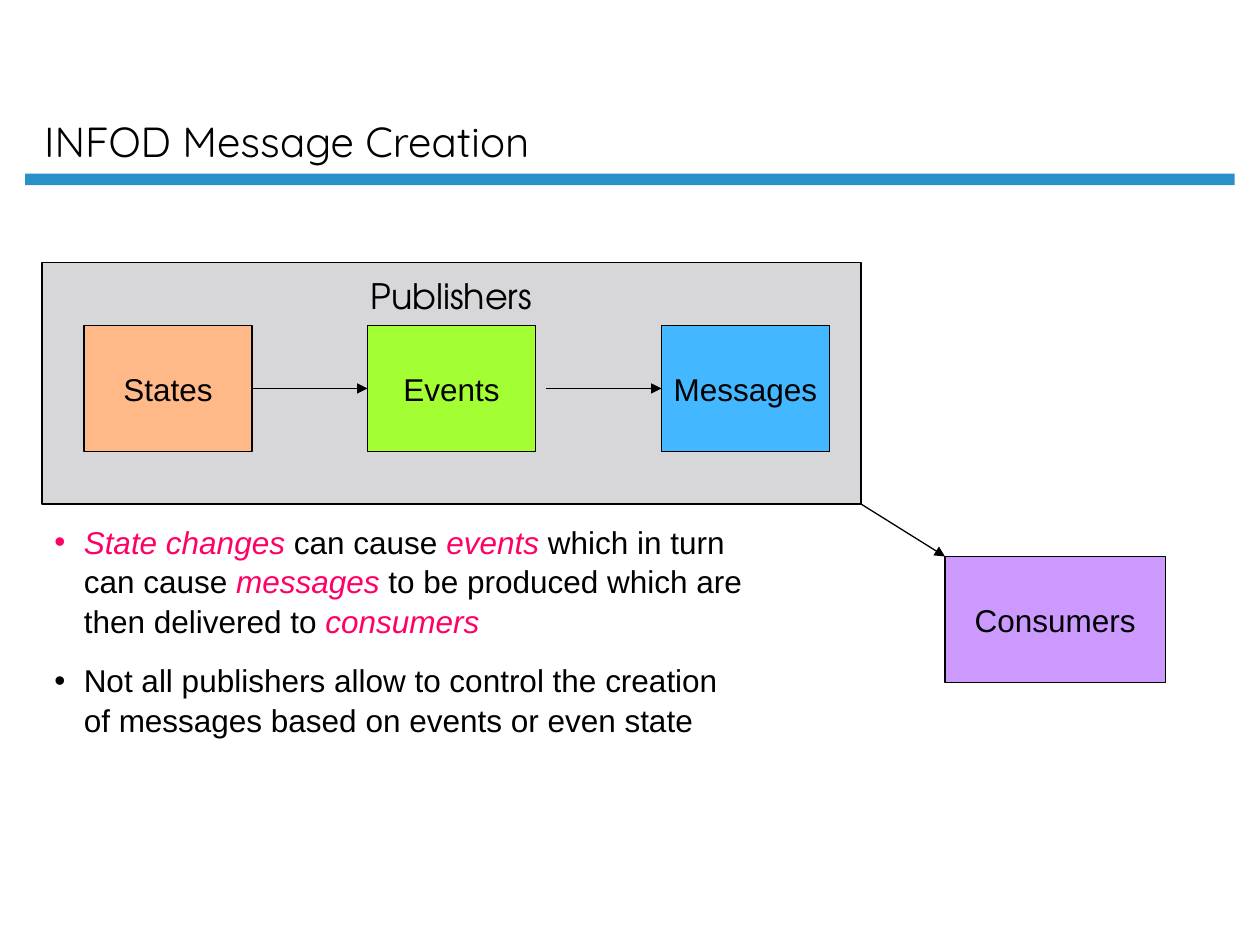
"""Build the INFOD message creation slide."""
from dataclasses import dataclass

from lxml import etree
from pptx import Presentation
from pptx.dml.color import RGBColor
from pptx.enum import shapes, text
from pptx.oxml import ns
from pptx.util import Pt


@dataclass(frozen=True)
class Theme:
    """Colours, fonts and type sizes."""
    ink: str = "000000"
    accent: str = "FF0066"
    rule: str = "2990CA"
    panel: str = "D7D7D9"
    states: str = "FFB989"
    events: str = "A3FF33"
    messages: str = "43B7FF"
    consumers: str = "CC99FF"
    title_font: str = "Quicksand"
    panel_font: str = "TeX Gyre Adventor"
    body_font: str = "Arial"
    title_size: float = 24
    panel_size: float = 20
    body_size: float = 18
    line_width: float = 0.75


@dataclass(frozen=True)
class Box:
    """A filled rectangle with an optional label, in points."""
    left: float
    top: float
    width: float
    height: float
    fill: str
    label: str = ""
    outlined: bool = True


@dataclass(frozen=True)
class Arrow:
    """A straight arrow between two points."""
    x1: float
    y1: float
    x2: float
    y2: float


@dataclass(frozen=True)
class Bullet:
    """A bulleted paragraph of (words, emphasised) pieces."""
    color: str
    pieces: tuple[tuple[str, bool], ...]


THEME = Theme()
STEP_TOP, STEP_WIDTH, STEP_HEIGHT = 186, 96, 72
STEP_MIDDLE = STEP_TOP + STEP_HEIGHT / 2
RULE = Box(14.4, 99.2, 691.2, 6.6, THEME.rule, outlined=False)
PUBLISHERS = Box(24, 150, 468, 138, THEME.panel, "Publishers")
STEPS = [
    Box(left, STEP_TOP, STEP_WIDTH, STEP_HEIGHT, fill, label)
    for left, fill, label in (
        (48, THEME.states, "States"),
        (210, THEME.events, "Events"),
        (378, THEME.messages, "Messages"),
    )
]
CONSUMERS = Box(540, 318, 126, 72, THEME.consumers, "Consumers")
ARROWS = [
    Arrow(144, STEP_MIDDLE, 210, STEP_MIDDLE),
    Arrow(312, STEP_MIDDLE, 378, STEP_MIDDLE),
    Arrow(492, 288, 540, 318),
]
BULLETS = [
    Bullet(THEME.accent, (
        ("State changes", True),
        (" can cause ", False),
        ("events", True),
        (" which in turn can cause ", False),
        ("messages", True),
        (" to be produced which are then delivered to ", False),
        ("consumers", True),
    )),
    Bullet(THEME.ink, (
        ("Not all publishers allow to control the creation of messages "
         "based on events or even state", False),
    )),
]


def add_run(paragraph, words: str, font: str, size: float,
            color: str = THEME.ink, italic: bool = False) -> None:
    """Append one formatted run."""
    run = paragraph.add_run()
    run.text = words
    run.font.name = font
    run.font.size = Pt(size)
    run.font.italic = italic
    run.font.color.rgb = RGBColor.from_string(color)


def draw_title(slide, words: str) -> None:
    """Place and fill the title placeholder."""
    title = slide.shapes.title
    title.left, title.top, title.width, title.height = map(Pt, (18, 8.6, 616, 90))
    frame = title.text_frame
    frame.auto_size = text.MSO_AUTO_SIZE.NONE
    frame.vertical_anchor = text.MSO_ANCHOR.BOTTOM
    paragraph = frame.paragraphs[0]
    paragraph.alignment = text.PP_ALIGN.LEFT
    add_run(paragraph, words, THEME.title_font, THEME.title_size)


def draw_box(slide, box: Box, font: str = THEME.body_font,
             size: float = THEME.body_size,
             anchor: text.MSO_ANCHOR = text.MSO_ANCHOR.MIDDLE) -> None:
    """Draw a rectangle and its centred label."""
    rect = slide.shapes.add_shape(
        shapes.MSO_SHAPE.RECTANGLE,
        *map(Pt, (box.left, box.top, box.width, box.height)))
    rect.shadow.inherit = False
    rect.fill.solid()
    rect.fill.fore_color.rgb = RGBColor.from_string(box.fill)
    if box.outlined:
        rect.line.color.rgb = RGBColor.from_string(THEME.ink)
        rect.line.width = Pt(THEME.line_width)
    else:
        rect.line.fill.background()
    if box.label:
        frame = rect.text_frame
        frame.word_wrap = False
        frame.vertical_anchor = anchor
        frame.margin_top = Pt(6.6 if anchor == text.MSO_ANCHOR.TOP else 3.6)
        paragraph = frame.paragraphs[0]
        paragraph.alignment = text.PP_ALIGN.CENTER
        add_run(paragraph, box.label, font, size)


def draw_arrow(slide, arrow: Arrow) -> None:
    """Draw a connector with a triangular head."""
    line = slide.shapes.add_connector(
        shapes.MSO_CONNECTOR.STRAIGHT,
        *map(Pt, (arrow.x1, arrow.y1, arrow.x2, arrow.y2)))
    line.line.color.rgb = RGBColor.from_string(THEME.ink)
    line.line.width = Pt(THEME.line_width)
    outline = line.line._get_or_add_ln()
    etree.SubElement(outline, ns.qn("a:tailEnd"), type="triangle")
    etree.SubElement(outline.getparent(), ns.qn("a:effectLst"))


def draw_bullets(slide, bullets: list[Bullet]) -> None:
    """Draw the bulleted explanation."""
    body = slide.shapes.add_textbox(*map(Pt, (24, 294, 408.24, 126.7)))
    frame = body.text_frame
    frame.word_wrap = True
    for index, bullet in enumerate(bullets):
        paragraph = frame.add_paragraph() if index else frame.paragraphs[0]
        paragraph.line_spacing = 1.05
        paragraph.space_before = Pt(11.2 if index else 0)
        properties = paragraph._p.get_or_add_pPr()
        properties.set("marL", str(Pt(16.8)))
        properties.set("indent", str(-Pt(16.8)))
        color = etree.SubElement(properties, ns.qn("a:buClr"))
        etree.SubElement(color, ns.qn("a:srgbClr"), val=bullet.color)
        etree.SubElement(properties, ns.qn("a:buFont"), typeface=THEME.body_font)
        etree.SubElement(properties, ns.qn("a:buChar"), char="•")
        for words, emphasised in bullet.pieces:
            add_run(paragraph, words, THEME.body_font, THEME.body_size,
                    THEME.accent if emphasised else THEME.ink, emphasised)


def main() -> None:
    """Assemble and save the slide."""
    deck = Presentation()
    deck.slide_width, deck.slide_height = Pt(720), Pt(540)
    slide = deck.slides.add_slide(deck.slide_layouts.get_by_name("Title Only"))
    draw_box(slide, RULE)
    draw_title(slide, "INFOD Message Creation")
    draw_box(slide, PUBLISHERS, THEME.panel_font, THEME.panel_size,
             text.MSO_ANCHOR.TOP)
    for box in (*STEPS, CONSUMERS):
        draw_box(slide, box)
    draw_bullets(slide, BULLETS)
    for arrow in ARROWS:
        draw_arrow(slide, arrow)
    deck.save("out.pptx")


if __name__ == "__main__":
    main()
